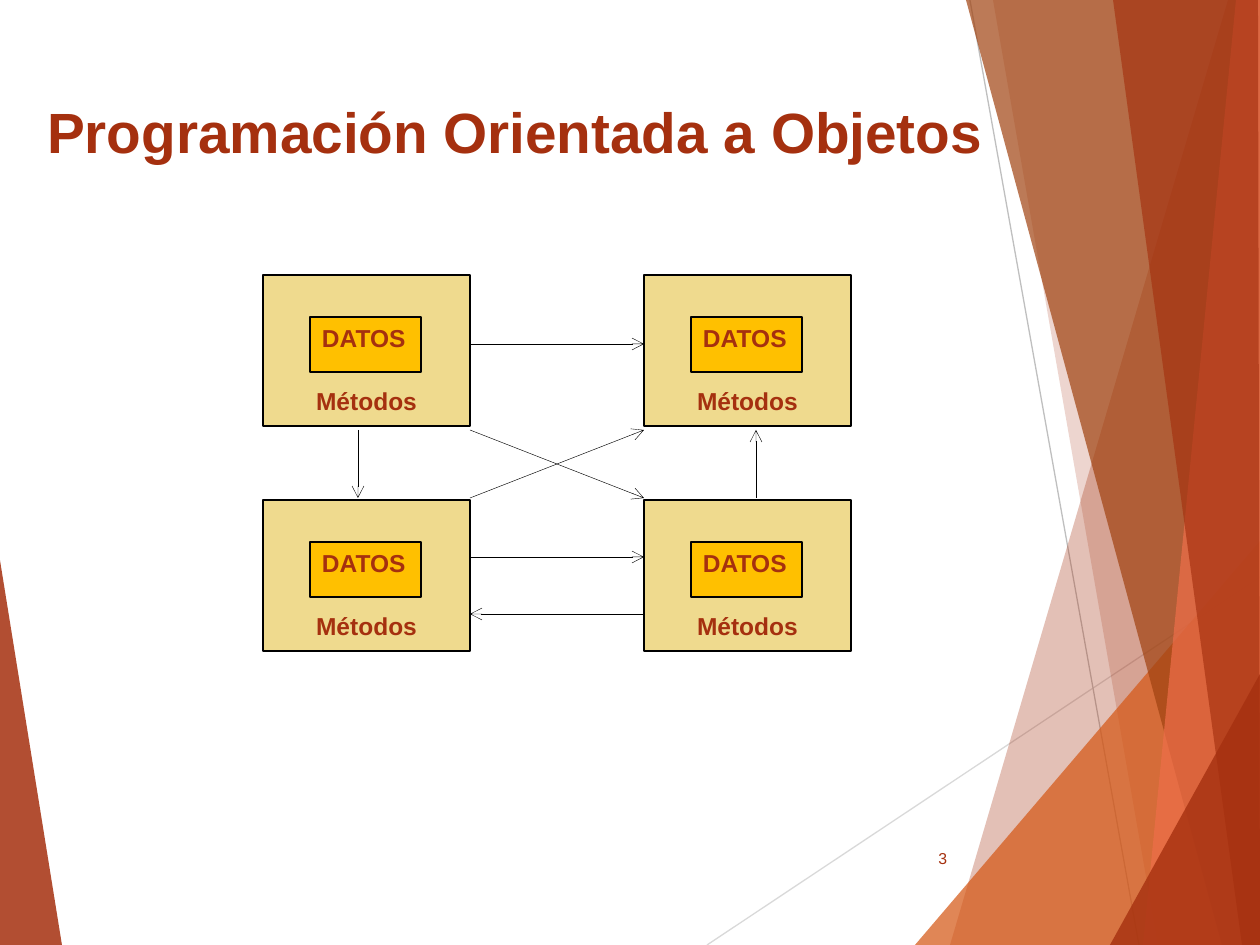
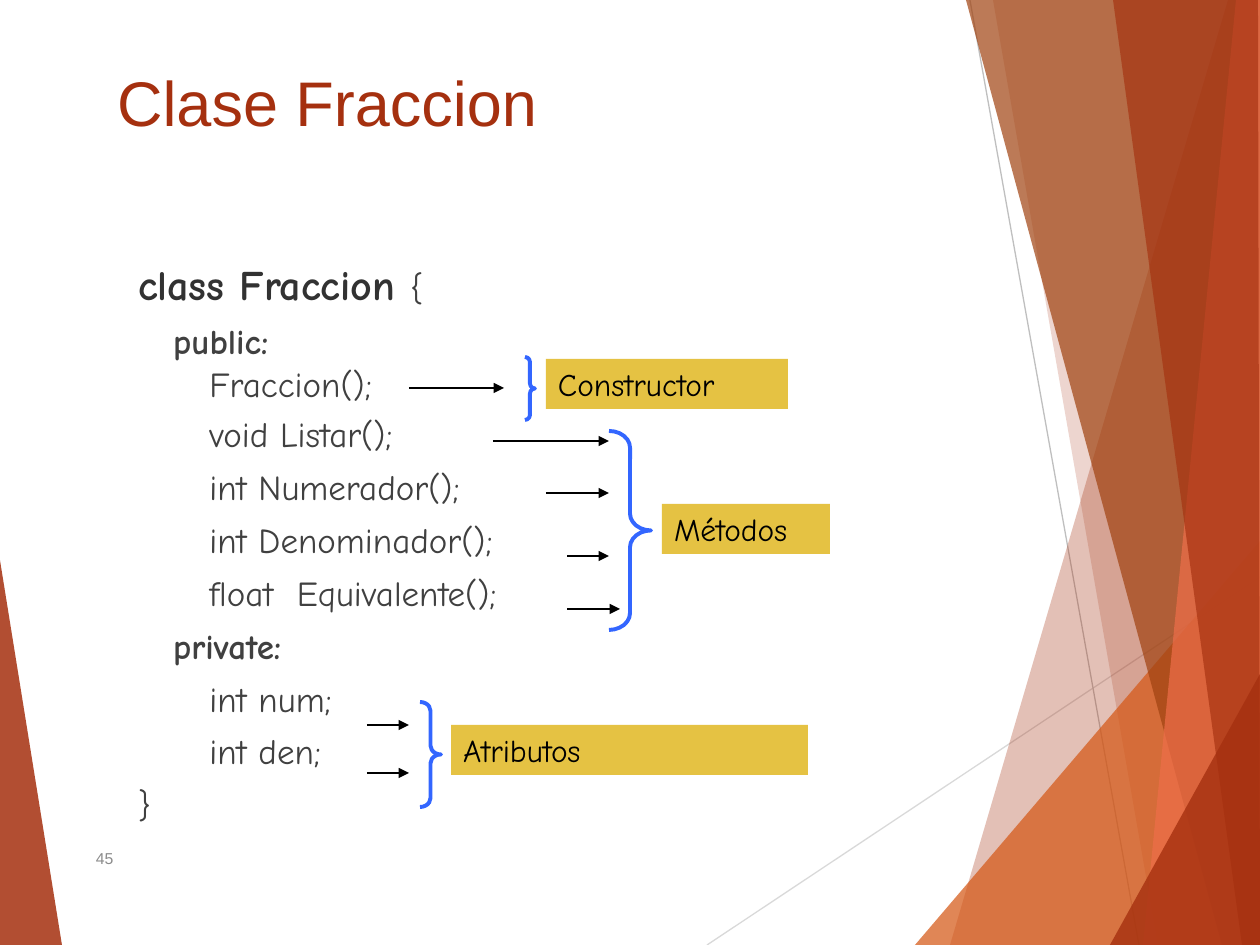
from dataclasses import dataclass
from itertools import product

from lxml import etree
from pptx import Presentation
from pptx import util as u
from pptx.dml.color import RGBColor
from pptx.enum import shapes, text
from pptx.oxml import ns

EMU_PER_PX = 914400 / 126
WIDTH, HEIGHT = 1260, 945


@dataclass(frozen=True)
class Theme:
    rust: str = "A5300F"
    orange: str = "D55816"
    brown: str = "A04210"
    coral: str = "EE6E4A"
    pale_line: str = "D9D9D9"
    grey_line: str = "BFBFBF"
    object_fill: str = "EFDA8E"
    data_fill: str = "FFC000"
    label_fill: str = "E5C243"
    brace: str = "3366FF"
    black: str = "000000"
    class_name: str = "323232"
    code: str = "404040"
    muted: str = "8C8C8C"
    sans: str = "Arial"
    hand: str = "Comic Neue"
    page_size: float = 9
    object_size: float = 14
    label_size: float = 18
    code_size: float = 20
    class_size: float = 24


THEME = Theme()

# Outline points, colour and opacity in percent, from back to front
LEFT_WEDGE = ([(0, 560), (62, 945), (0, 945)], THEME.rust, 85)
RIGHT_FACETS = [
    ([(1228, 0), (950, 945), (1260, 945), (1260, 0)], THEME.rust, 30),
    ([(993, 0), (1158, 945), (1260, 945), (1260, 0)], THEME.rust, 20),
    ([(915, 945), (1260, 541), (1260, 945)], THEME.orange, 72),
    ([(966, 0), (1222, 945), (1260, 945), (1260, 0)], THEME.brown, 70),
    ([(1236, 0), (1143, 945), (1260, 945), (1260, 0)], THEME.coral, 70),
    ([(1113, 0), (1242, 945), (1260, 945), (1258, 0)], THEME.rust, 65),
    ([(1110, 945), (1260, 674), (1260, 945)], THEME.rust, 80),
]


def px(length):
    return u.Emu(round(length * EMU_PER_PX))


def rgb(colour):
    return RGBColor.from_string(colour)


def add_span(para, words, size, colour, font=THEME.sans, bold=False):
    span = para.add_run()
    span.text = words
    span.font.size = u.Pt(size)
    span.font.name = font
    span.font.bold = bold
    span.font.color.rgb = rgb(colour)


def set_frame(box, anchor, bottom=6):
    """Give a shape wrapped text with even insets and return its first paragraph."""
    frame = box.text_frame
    frame.word_wrap = True
    frame.vertical_anchor = anchor
    frame.margin_left = frame.margin_right = px(12)
    frame.margin_top, frame.margin_bottom = px(6), px(bottom)
    para = frame.paragraphs[0]
    para.alignment = text.PP_ALIGN.LEFT
    return para


def add_text_box(page, area, anchor):
    box = page.shapes.add_textbox(*map(px, area))
    return box, set_frame(box, anchor)


def add_rect(page, area, fill, outline=None):
    box = page.shapes.add_shape(shapes.MSO_SHAPE.RECTANGLE, *map(px, area))
    box.shadow.inherit = False
    box.fill.solid()
    box.fill.fore_color.rgb = rgb(fill)
    if outline:
        box.line.color.rgb = rgb(outline)
        box.line.width = u.Pt(0.75)
    else:
        box.line.fill.background()
    return box


def add_line(page, start, end, colour, width, head=None):
    line = page.shapes.add_connector(
        shapes.MSO_CONNECTOR.STRAIGHT, *map(px, (*start, *end)))
    line.line.color.rgb = rgb(colour)
    line.line.width = u.Pt(width)
    properties = line._element.spPr
    if head:
        etree.SubElement(properties.find(ns.qn("a:ln")), ns.qn("a:tailEnd"), type=head)
    etree.SubElement(properties, ns.qn("a:effectLst"))


def add_facet(page, points, colour, opacity):
    builder = page.shapes.build_freeform(*points[0], scale=EMU_PER_PX)
    builder.add_line_segments(points[1:], close=True)
    facet = builder.convert_to_shape()
    facet.shadow.inherit = False
    facet.fill.solid()
    facet.fill.fore_color.rgb = rgb(colour)
    facet.line.fill.background()
    tint = facet._element.spPr.find(".//" + ns.qn("a:srgbClr"))
    etree.SubElement(tint, ns.qn("a:alpha"), val=str(opacity * 1000))


def add_page(deck):
    """Add a blank page with the shared facets."""
    page = deck.slides.add_slide(deck.slide_layouts[6])
    add_facet(page, *LEFT_WEDGE)
    add_line(page, (707, 945), (1260, 577), THEME.pale_line, 0.75)
    add_line(page, (970, 0), (1139, 945), THEME.grey_line, 0.75)
    for facet in RIGHT_FACETS:
        add_facet(page, *facet)
    return page


def add_title(page, words, area, size, bold=False):
    _, para = add_text_box(page, area, text.MSO_ANCHOR.BOTTOM)
    add_span(para, words, size, THEME.rust, bold=bold)


def add_page_number(page, number, left, width, colour, align):
    _, para = add_text_box(page, (left, 833, width, 50), text.MSO_ANCHOR.MIDDLE)
    para.alignment = align
    add_span(para, number, THEME.page_size, colour)


def add_object(page, left, top):
    """Draw an object: its methods around its data."""
    methods = add_rect(page, (left, top, 207, 151), THEME.object_fill, THEME.black)
    para = set_frame(methods, text.MSO_ANCHOR.BOTTOM, bottom=11)
    para.alignment = text.PP_ALIGN.CENTER
    add_span(para, "Métodos", THEME.object_size, THEME.rust, bold=True)
    data = add_rect(page, (left + 47, top + 42, 111, 55), THEME.data_fill, THEME.black)
    para = set_frame(data, text.MSO_ANCHOR.TOP)
    add_span(para, "DATOS", THEME.object_size, THEME.rust, bold=True)


def add_brace(page, area, curl):
    brace = page.shapes.add_shape(shapes.MSO_SHAPE.RIGHT_BRACE, *map(px, area))
    brace.shadow.inherit = False
    brace.adjustments[0] = curl
    brace.fill.background()
    brace.line.color.rgb = rgb(THEME.brace)
    brace.line.width = u.Pt(2.25)


def add_label(page, words, left, top, width):
    box = add_rect(page, (left, top, width, 50), THEME.label_fill)
    para = set_frame(box, text.MSO_ANCHOR.MIDDLE)
    add_span(para, words, THEME.label_size, THEME.black, THEME.hand)


def add_code(page, area, lines):
    """Write code lines, each a list of (words, bold, size, colour) spans."""
    box, para = add_text_box(page, area, text.MSO_ANCHOR.TOP)
    box.fill.solid()
    box.fill.fore_color.rgb = rgb("FFFFFF")
    for index, (spacing, spans) in enumerate(lines):
        if index:
            para = box.text_frame.add_paragraph()
            para.space_before = u.Pt(11)
        para.line_spacing = spacing
        indent = para._p.get_or_add_pPr()
        indent.set("marL", str(px(48)))
        indent.set("indent", str(px(-48)))
        for words, bold, size, colour in spans:
            add_span(para, words, size, colour, THEME.hand, bold)


def code_line(words, spacing=0.8):
    return spacing, [(words, False, THEME.code_size, THEME.code)]


def access_line(keyword):
    return 0.8, [("   ", False, THEME.code_size, THEME.code),
                 (keyword, True, THEME.code_size, THEME.code)]


def build_objects_page(deck):
    page = add_page(deck)
    add_title(page, "Programación Orientada a Objetos", (35, 87, 963, 84), 32.4, True)
    add_page_number(page, "3", 888, 71, THEME.rust, text.PP_ALIGN.RIGHT)
    for top, left in product((275, 500), (263, 644)):
        add_object(page, left, top)
    left, right, upper, lower = 470, 644, 430, 498
    messages = [
        ((left, 344), (right, 344)),
        ((left, 557), (right, 557)),
        ((left, lower), (right, upper)),
        ((left, upper), (right, lower)),
        ((right, 614), (left, 614)),
        ((358, upper), (358, lower)),
        ((756, lower), (756, upper)),
    ]
    for start, end in messages:
        add_line(page, start, end, THEME.black, 0.25, "arrow")


def build_class_page(deck):
    page = add_page(deck)
    add_page_number(page, "45", 84, 638, THEME.muted, text.PP_ALIGN.LEFT)
    add_code(page, (126, 262, 484, 587), [
        (0.8, [("class Fraccion ", True, THEME.class_size, THEME.class_name),
               ("{", False, THEME.code_size, THEME.code)]),
        access_line("public:"),
        code_line("\t  Fraccion();", 0.5),
        code_line("\t  void Listar();"),
        code_line("\t  int Numerador();"),
        code_line("\t  int Denominador();"),
        code_line("\t  float  Equivalente();"),
        access_line("private:"),
        code_line("\t  int num;"),
        code_line("\t  int den;"),
        code_line("}"),
    ])
    add_brace(page, (525, 357, 10, 63), 0.5)
    add_brace(page, (609, 431, 42, 199), 0.4)
    add_brace(page, (420, 702, 21, 105), 0.42)
    add_label(page, "Constructor", 546, 359, 242)
    add_label(page, "Métodos", 662, 504, 168)
    add_label(page, "Atributos", 451, 725, 357)
    pointers = [(409, 504, 388), (493, 609, 441), (546, 609, 493), (567, 609, 556),
                (567, 620, 609), (367, 409, 725), (367, 409, 773)]
    for start, end, y in pointers:
        add_line(page, (start, y), (end, y), THEME.black, 0.75, "triangle")
    add_title(page, "Clase Fraccion", (105, 57, 1125, 88), 36)


def main():
    deck = Presentation()
    deck.slide_width, deck.slide_height = px(WIDTH), px(HEIGHT)
    build_objects_page(deck)
    build_class_page(deck)
    deck.save("out.pptx")


if __name__ == "__main__":
    main()
